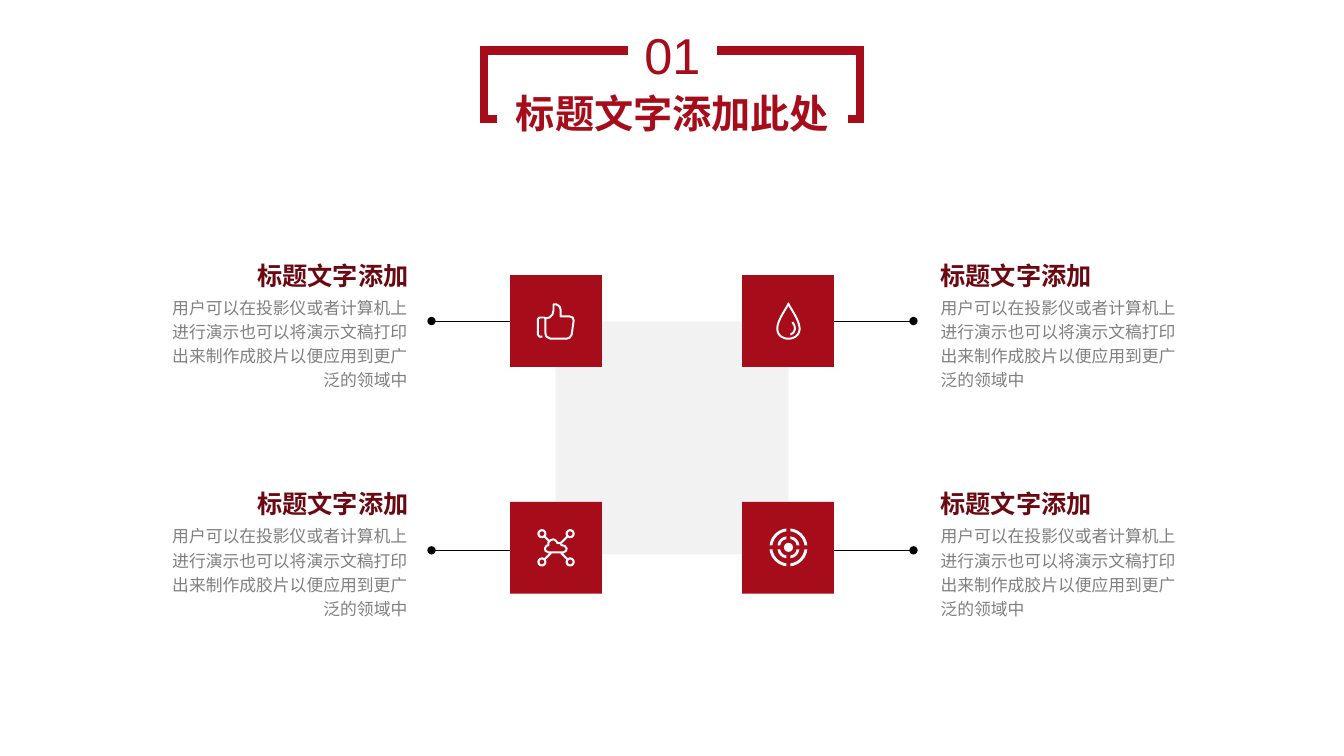
from math import cos, pi, sin

from lxml.etree import SubElement
from pptx import Presentation
from pptx.dml.color import RGBColor
from pptx.enum.lang import MSO_LANGUAGE_ID as Language
from pptx.enum.shapes import MSO_CONNECTOR as Connector, MSO_SHAPE as Shape
from pptx.enum.text import MSO_ANCHOR as Anchor, MSO_AUTO_SIZE as AutoSize, PP_ALIGN as Align
from pptx.oxml.ns import qn
from pptx.util import Inches, Pt

COLORS = {"red": "A70C1B", "dark red": "6B0811", "gray": "808080",
          "pale": "F2F2F2", "white": "FFFFFF", "black": "000000"}
CJK_FONT = "Noto Sans CJK SC"
BODY = "用户可以在投影仪或者计算机上进行演示也可以将演示文稿打印出来制作成胶片以便应用到更广泛的领域中"


def paint(shape, fill=None, line=None, width=1):
    shape.shadow.inherit = False
    for color, target in ((fill, shape.fill), (line, shape.line.fill)):
        if color:
            target.solid()
            target.fore_color.rgb = RGBColor.from_string(COLORS[color])
        else:
            target.background()
    if line:
        shape.line.width = Pt(width)


def write(shape, text, size, color, font_name, align, bold=False, spacing=1.0, anchor=Anchor.TOP):
    frame = shape.text_frame
    frame_format = {"word_wrap": True, "auto_size": AutoSize.NONE, "vertical_anchor": anchor,
                    "margin_left": Inches(0.1), "margin_right": Inches(0.1),
                    "margin_top": Inches(0.05), "margin_bottom": Inches(0.05)}
    for name, value in frame_format.items():
        setattr(frame, name, value)
    paragraph = frame.paragraphs[0]
    paragraph.alignment = align
    paragraph.line_spacing = spacing
    paragraph.space_before = Pt(0)
    run = paragraph.add_run()
    run.text = text
    font_format = {"name": font_name, "size": Pt(size), "bold": bold,
                   "language_id": Language.SIMPLIFIED_CHINESE}
    for name, value in font_format.items():
        setattr(run.font, name, value)
    run.font.color.rgb = RGBColor.from_string(COLORS[color])
    SubElement(run.font._element, qn("a:ea"), typeface=CJK_FONT)


presentation = Presentation()
presentation.slide_width = Inches(13.33)
presentation.slide_height = Inches(7.5)
slide = presentation.slides.add_slide(presentation.slide_layouts[5])
shapes = slide.shapes

title_frame = shapes.add_shape(Shape.RECTANGLE, Inches(4.8), Inches(0.5), Inches(3.73), Inches(0.68))
paint(title_frame, line="red", width=6)
SubElement(title_frame.line._ln, qn("a:miter"), lim="800000")

number = shapes.add_textbox(Inches(6.23), Inches(0.18), Inches(0.88), Inches(0.71))
paint(number, fill="white")
write(number, "01", 36, "red", "Arial", Align.CENTER, anchor=Anchor.MIDDLE)

title = shapes.title
title_place = {"left": 4.93, "top": 0.83, "width": 3.48, "height": 0.57}
for name, value in title_place.items():
    setattr(title, name, Inches(value))
title.fill.solid()
title.fill.fore_color.rgb = RGBColor.from_string(COLORS["white"])
write(title, "标题文字添加此处", 28, "red", "Arial", Align.CENTER, bold=True, anchor=Anchor.MIDDLE)
number._element.addnext(title._element)

center_square = shapes.add_shape(Shape.RECTANGLE, Inches(5.51), Inches(3.19), Inches(2.31), Inches(2.31))
paint(center_square, fill="pale")

TILE = 0.91
columns = [
    {"tile": 5.06, "edge": 5.06, "dot": 4.28, "side": 1, "heading": 1.7, "body": 1.46, "align": Align.RIGHT},
    {"tile": 7.36, "edge": 8.27, "dot": 9.06, "side": 3, "heading": 9.23, "body": 9.23, "align": Align.LEFT},
]
rows = [{"tile": 2.73, "line": 2.73 + TILE / 2, "heading": 2.47},
        {"tile": 4.98, "line": 5.46, "heading": 4.74}]
for row in rows:
    for column in columns:
        tile = shapes.add_shape(Shape.RECTANGLE, Inches(column["tile"]), Inches(row["tile"]),
                                Inches(TILE), Inches(TILE))
        paint(tile, fill="red")

        line_y = Inches(row["line"])
        connector = shapes.add_connector(Connector.STRAIGHT, Inches(column["dot"]), line_y,
                                         Inches(column["edge"]), line_y)
        if row is rows[0]:
            connector.end_connect(tile, column["side"])
        connector.line.color.rgb = RGBColor.from_string(COLORS["black"])
        connector.line.width = Pt(0.5)
        SubElement(connector.line._ln, qn("a:headEnd"), type="oval")
        SubElement(connector._element.spPr, qn("a:effectLst"))

        body = shapes.add_textbox(Inches(column["body"]), Inches(row["heading"] + 0.39),
                                  Inches(2.68), Inches(1.05))
        write(body, BODY, 12, "gray", CJK_FONT, column["align"], spacing=1.2)
        heading = shapes.add_textbox(Inches(column["heading"]), Inches(row["heading"]),
                                     Inches(2.45), Inches(0.43))
        write(heading, "标题文字添加", 18, "dark red", CJK_FONT, column["align"], bold=True, spacing=1.2)

network_x, network_y = 5.515, 5.435
for across in (-1, 1):
    for down in (-1, 1):
        spoke = shapes.add_connector(
            Connector.STRAIGHT,
            Inches(network_x + across * 0.115), Inches(network_y + down * 0.115),
            Inches(network_x + across * 0.05), Inches(network_y + down * 0.05))
        spoke.line.color.rgb = RGBColor.from_string(COLORS["white"])
        spoke.line.width = Pt(1.5)
        SubElement(spoke._element.spPr, qn("a:effectLst"))
        node = shapes.add_shape(Shape.OVAL, Inches(network_x + across * 0.14 - 0.035),
                                Inches(network_y + down * 0.14 - 0.035), Inches(0.07), Inches(0.07))
        paint(node, line="white", width=1.5)

thumb = [(5.41, 3.16), (5.45, 3.15), (5.48, 3.12), (5.49, 3.08), (5.49, 3.02), (5.52, 3.02),
         (5.55, 3.04), (5.56, 3.07), (5.56, 3.14), (5.65, 3.14), (5.68, 3.15), (5.69, 3.18),
         (5.67, 3.32), (5.65, 3.35), (5.62, 3.36), (5.46, 3.36), (5.42, 3.34), (5.41, 3.31)]
cuff = [(5.41, 3.16), (5.4, 3.15), (5.35, 3.15), (5.335, 3.165), (5.335, 3.32), (5.35, 3.34), (5.38, 3.34)]
angles = [2 * pi * step / 48 for step in range(48)]
drop = [(7.82 + 0.157 * sin(angle) * sin(angle / 2) ** 1.5, 3.185 - 0.175 * cos(angle))
        for angle in angles]
glint = [(7.86, 3.195), (7.88, 3.23), (7.885, 3.265), (7.87, 3.3), (7.84, 3.32)]
cloud = [(5.44, 5.48), (5.41, 5.465), (5.405, 5.44), (5.42, 5.415), (5.44, 5.41), (5.44, 5.38),
         (5.46, 5.36), (5.49, 5.35), (5.515, 5.365), (5.53, 5.39), (5.555, 5.385), (5.57, 5.41),
         (5.6, 5.415), (5.62, 5.44), (5.615, 5.465), (5.59, 5.48)]
for points, closed, fill in ((thumb, True, None), (cuff, False, None), (drop, True, None),
                             (glint, False, None), (cloud, True, "red")):
    grid = [(round(x * 1000), round(y * 1000)) for x, y in points]
    builder = shapes.build_freeform(*grid[0], scale=Inches(1) / 1000)
    builder.add_line_segments(grid[1:], close=closed)
    paint(builder.convert_to_shape(), fill=fill, line="white", width=1.4)

target_x, target_y = 7.82, 5.43
target_parts = [
    (Shape.OVAL, 0.35, 0.35, None, "white", 2),
    (Shape.OVAL, 0.2, 0.2, None, "white", 1.9),
    (Shape.RECTANGLE, 0.4, 0.04, "red", None, 0),
    (Shape.RECTANGLE, 0.04, 0.4, "red", None, 0),
    (Shape.OVAL, 0.09, 0.09, "white", None, 0),
]
for kind, width, height, fill, line, weight in target_parts:
    part = shapes.add_shape(kind, Inches(target_x - width / 2), Inches(target_y - height / 2),
                            Inches(width), Inches(height))
    paint(part, fill, line, weight)

presentation.save("out.pptx")
